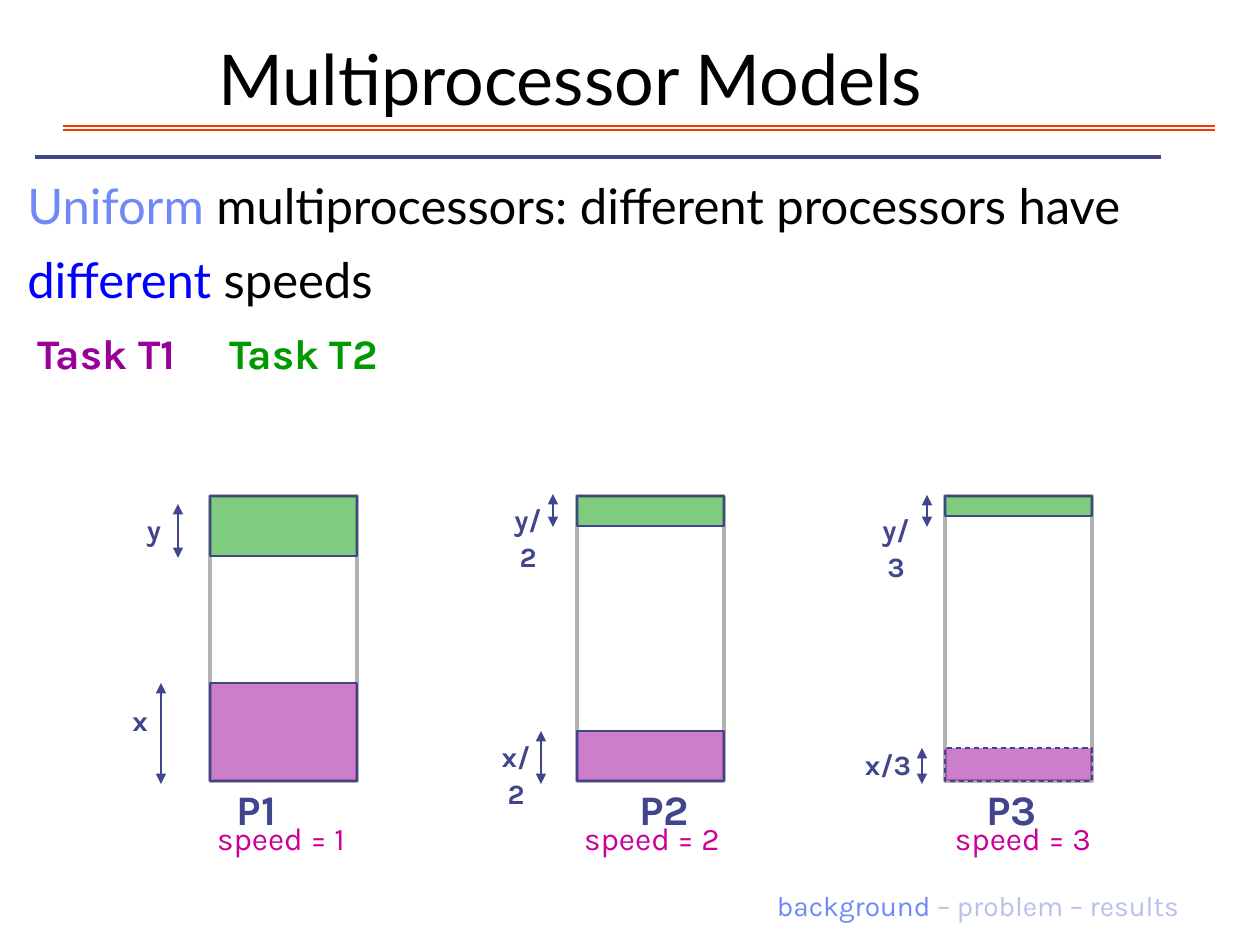
from lxml.etree import SubElement
from pptx import Presentation
from pptx.dml.color import RGBColor
from pptx.enum.dml import MSO_LINE
from pptx.enum.shapes import MSO_CONNECTOR, MSO_SHAPE
from pptx.enum.text import MSO_ANCHOR, PP_ALIGN
from pptx.oxml.ns import qn
from pptx.util import Emu, Pt

PX_PER_INCH = 126
NAVY, PURPLE, GREEN = "40458C", "990099", "009900"
GRAY, RED, MAGENTA, SKY = "B2B2B2", "FF3300", "CC0099", "6F89F7"

FRAME_TOP, FRAME_BOTTOM, FRAME_W = 496, 781, 147
ARROW_BOTTOM = 784

# Arrows are (x, top, bottom); labels are (text, left, top, width, wrap).
PROCESSORS = [
    dict(name="P1", name_x=218, speed=1, left=210,
         x_height=98, x_arrow=161, x_label=("x", 120, 694, 40, False),
         y_height=60, y_arrow=(178, 504, 558), y_label=("y", 134, 503, 40, False)),
    dict(name="P2", name_x=626, speed=2, left=577,
         x_height=50, x_arrow=541, x_label=("x/2", 484, 730, 64, True),
         y_height=30, y_arrow=(553, 494, 527), y_label=("y/2", 496, 493, 64, True)),
    dict(name="P3", name_x=973, speed=3, left=945, x_dash=MSO_LINE.DASH,
         x_height=33, x_arrow=922, x_label=("x/3", 833, 738, 110, True),
         y_height=20, y_arrow=(927, 495, 527), y_label=("y/3", 864, 503, 64, True)),
]


def px(n):
    return Emu(round(n * 914400 / PX_PER_INCH))


def rgb(color):
    return RGBColor.from_string(color)


def add_text(s, runs, left, top, width, height, size=16, font="Karla", bold=False,
             align=PP_ALIGN.CENTER, anchor=MSO_ANCHOR.TOP, spacing=1.1, wrap=False):
    """Add one paragraph made of (text, color) runs."""
    box = s.shapes.add_textbox(px(left), px(top), px(width), px(height))
    tf = box.text_frame
    tf.word_wrap = wrap
    tf.vertical_anchor = anchor
    p = tf.paragraphs[0]
    p.alignment = align
    p.line_spacing = spacing
    for text, color in runs:
        r = p.add_run()
        r.text = text
        r.font.name = font
        r.font.size = Pt(size)
        r.font.bold = bold
        r.font.color.rgb = rgb(color)


def add_line(s, x1, y1, x2, y2, color=NAVY, width=0.75, arrows=False):
    line = s.shapes.add_connector(MSO_CONNECTOR.STRAIGHT, px(x1), px(y1), px(x2), px(y2))
    line.line.color.rgb = rgb(color)
    line.line.width = Pt(width)
    if arrows:
        ln = line.line._get_or_add_ln()
        for end in ("a:headEnd", "a:tailEnd"):
            SubElement(ln, qn(end), type="triangle")
    SubElement(line._element.spPr, qn("a:effectLst"))


def add_rect(s, left, top, width, height, fill=None, line=NAVY, line_width=0.75, dash=None):
    """Add a rectangle whose fill, if any, is half transparent."""
    rect = s.shapes.add_shape(MSO_SHAPE.RECTANGLE, px(left), px(top), px(width), px(height))
    rect.shadow.inherit = False
    rect.line.color.rgb = rgb(line)
    rect.line.width = Pt(line_width)
    if dash:
        rect.line.dash_style = dash
    if fill:
        rect.fill.solid()
        rect.fill.fore_color.rgb = rgb(fill)
        clr = rect._element.spPr.find(qn("a:solidFill")).find(qn("a:srgbClr"))
        SubElement(clr, qn("a:alpha"), val="50000")
    else:
        rect.fill.background()


def add_measure(s, arrow, label):
    """Add a vertical double arrow with its length label."""
    x, top, bottom = arrow
    add_line(s, x, top, x, bottom, arrows=True)
    text, left, label_top, width, wrap = label
    add_text(s, [(text, NAVY)], left, label_top, width, 49, bold=True, wrap=wrap)


def add_processor(s, proc):
    left = proc["left"]
    x_top = FRAME_BOTTOM - proc["x_height"]
    add_rect(s, left, FRAME_TOP, FRAME_W, FRAME_BOTTOM - FRAME_TOP, line=GRAY, line_width=2)
    add_rect(s, left, x_top, FRAME_W, proc["x_height"], fill=PURPLE, dash=proc.get("x_dash"))
    add_rect(s, left, FRAME_TOP, FRAME_W, proc["y_height"], fill=GREEN)
    add_measure(s, (proc["x_arrow"], x_top, ARROW_BOTTOM), proc["x_label"])
    add_measure(s, proc["y_arrow"], proc["y_label"])
    add_text(s, [(proc["name"], NAVY)], proc["name_x"], 772, 77, 68, size=24, bold=True)
    speed = proc["speed"]
    add_text(s, [(f"speed = {speed}", MAGENTA)], 199 + 371 * (speed - 1), 809, 164, 54, size=18)


def main():
    prs = Presentation()
    prs.slide_width, prs.slide_height = px(1260), px(945)
    s = prs.slides.add_slide(prs.slide_layouts[6])

    for y in (126, 130):
        add_line(s, 63, y, 1215, y, color=RED, width=1)
    add_text(s, [("Multiprocessor Models", "000000")], 31, 21, 1079, 105, size=40,
             font="Lato", anchor=MSO_ANCHOR.BOTTOM, spacing=1.0, wrap=True)
    add_line(s, 35, 157, 1161, 157, width=2.25)
    add_text(s, [("Uniform", SKY), (" multiprocessors: different processors have ", "000000"),
                 ("different", "0000FF"), (" speeds", "000000")],
             15, 155, 1245, 147, size=28, font="Lato", align=PP_ALIGN.LEFT,
             spacing=1.25, wrap=True)

    for text, color, left in (("Task T1", PURPLE, 16), ("Task T2", GREEN, 213)):
        add_text(s, [(text, color)], left, 316, 181, 68, size=24, bold=True)
    for proc in PROCESSORS:
        add_processor(s, proc)

    add_text(s, [("background", SKY), (" – problem – results ", "B7C1EB")],
             554, 883, 644, 45, align=PP_ALIGN.RIGHT, anchor=MSO_ANCHOR.BOTTOM,
             spacing=1.0, wrap=True)
    prs.save("out.pptx")


if __name__ == "__main__":
    main()
